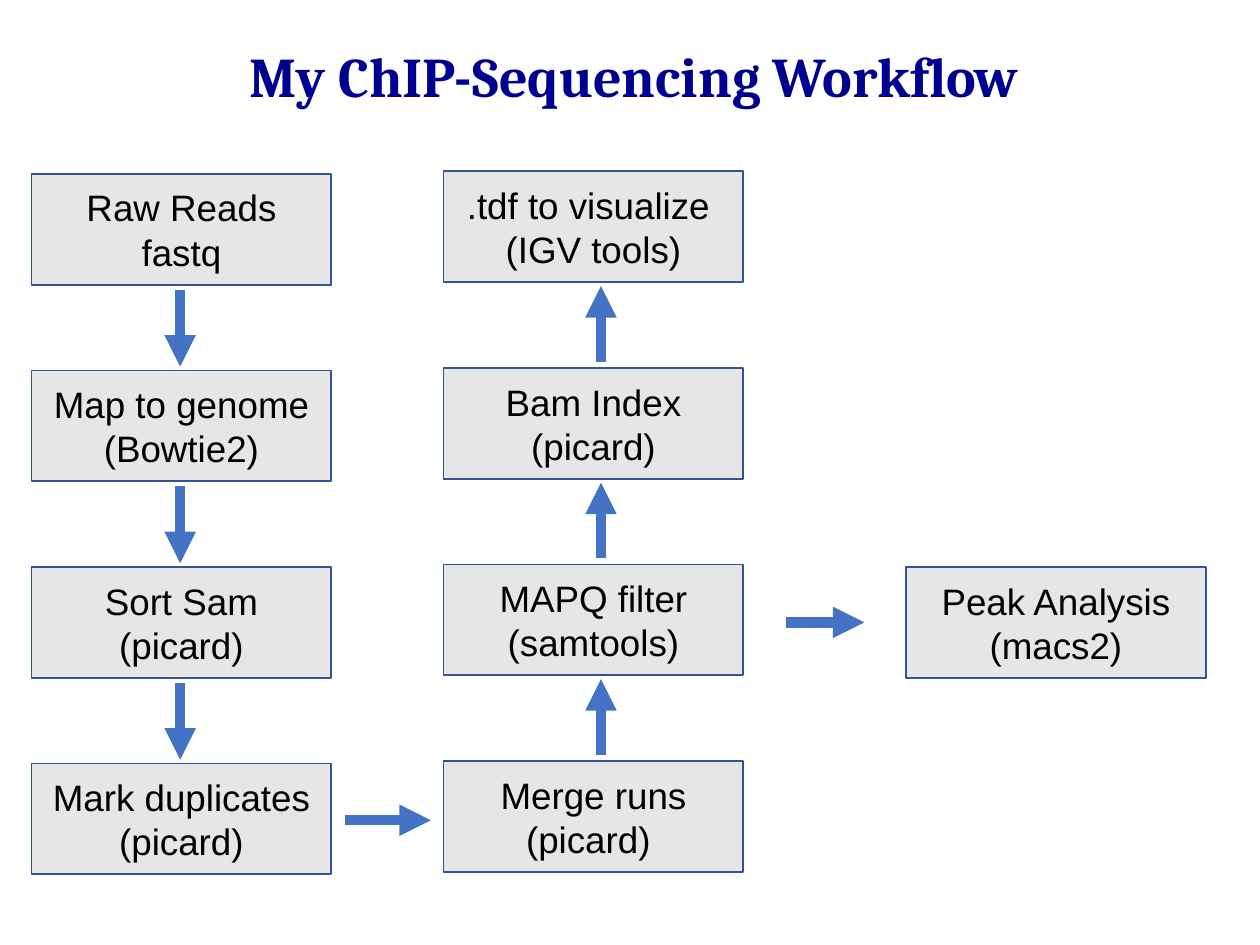
from lxml import etree
from pptx import Presentation
from pptx.dml.color import RGBColor
from pptx.enum.shapes import MSO_CONNECTOR, MSO_SHAPE
from pptx.enum.text import MSO_ANCHOR, MSO_AUTO_SIZE, PP_ALIGN
from pptx.oxml.ns import qn
from pptx.util import Inches, Pt

RECTANGLE = MSO_SHAPE.RECTANGLE
STRAIGHT = MSO_CONNECTOR.STRAIGHT
MIDDLE = MSO_ANCHOR.MIDDLE
CENTER = PP_ALIGN.CENTER
FIT_SHAPE = MSO_AUTO_SIZE.SHAPE_TO_FIT_TEXT

TITLE = "My ChIP-Sequencing Workflow"
PREPARATION_STEPS = [
    ["Raw Reads", "fastq"],
    ["Map to genome (Bowtie2)"],
    ["Sort Sam", "(picard)"],
    ["Mark duplicates", "(picard)"],
]
FILTERING_STEPS = [
    [".tdf to visualize ", "(IGV tools)"],
    ["Bam Index (picard)"],
    ["MAPQ filter (samtools)"],
    ["Merge runs", "(picard) "],
]
PEAK_STEP = ["Peak Analysis", "(macs2)"]

COLORS = {
    "title": "000090",
    "text": "000000",
    "box": "E7E6E6",
    "border": "325491",
    "arrow": "4472C4",
}
BOX_WIDTH, BOX_HEIGHT = 2.38, 0.88
ROW_PITCH = 1.56
PREPARATION_LEFT, PREPARATION_TOP = 0.25, 1.38
FILTERING_LEFT, FILTERING_TOP = 3.52, 1.36
PEAK_LEFT = 7.19
DOWN_X, UP_X = 1.43, 4.77


def color(key):
    return RGBColor.from_string(COLORS[key])


def add_lines(frame, lines, font_name, size, color_key, bold=False):
    for index, line in enumerate(lines):
        paragraph = frame.paragraphs[0] if index == 0 else frame.add_paragraph()
        paragraph.alignment = CENTER
        run = paragraph.add_run()
        run.text = line
        run.font.name = font_name
        run.font.size = Pt(size)
        run.font.bold = bold
        run.font.color.rgb = color(color_key)


def add_step(slide, lines, left, top, side_inset=0.1):
    box = slide.shapes.add_shape(
        RECTANGLE, Inches(left), Inches(top), Inches(BOX_WIDTH), Inches(BOX_HEIGHT)
    )
    box.shadow.inherit = False
    box.fill.solid()
    box.fill.fore_color.rgb = color("box")
    box.line.color.rgb = color("border")
    box.line.width = Pt(1)
    frame = box.text_frame
    frame.word_wrap = True
    frame.vertical_anchor = MIDDLE
    frame.margin_left = frame.margin_right = Inches(side_inset)
    add_lines(frame, lines, "Arial", 21, "text")


def add_arrow(slide, x1, y1, x2, y2):
    arrow = slide.shapes.add_connector(
        STRAIGHT, Inches(x1), Inches(y1), Inches(x2), Inches(y2)
    )
    arrow.line.color.rgb = color("arrow")
    arrow.line.width = Pt(6)
    etree.SubElement(arrow.line._get_or_add_ln(), qn("a:tailEnd"), type="triangle")
    etree.SubElement(arrow._element.spPr, qn("a:effectLst"))


def main():
    deck = Presentation()
    deck.slide_width, deck.slide_height = Inches(10), Inches(7.5)
    slide = deck.slides.add_slide(deck.slide_layouts[6])

    for row, lines in enumerate(PREPARATION_STEPS):
        top = PREPARATION_TOP + row * ROW_PITCH
        add_step(slide, lines, PREPARATION_LEFT, top)
        if row < len(PREPARATION_STEPS) - 1:
            add_arrow(slide, DOWN_X, top + 0.92, DOWN_X, top + 1.53)

    for row, lines in enumerate(FILTERING_STEPS):
        top = FILTERING_TOP + row * ROW_PITCH
        add_step(slide, lines, FILTERING_LEFT, top, 0.1 if row else 0)
        if row:
            add_arrow(slide, UP_X, top - 0.05, UP_X, top - 0.65)

    add_step(slide, PEAK_STEP, PEAK_LEFT, PREPARATION_TOP + 2 * ROW_PITCH, 0)
    add_arrow(slide, 2.74, 6.51, 3.42, 6.51)
    add_arrow(slide, 6.24, 4.94, 6.86, 4.94)

    heading = slide.shapes.add_textbox(
        Inches(1.86), Inches(0.28), Inches(6.35), Inches(0.64)
    ).text_frame
    heading.word_wrap = False
    heading.auto_size = FIT_SHAPE
    add_lines(heading, [TITLE], "Cambria", 32, "title", bold=True)

    deck.save("out.pptx")


if __name__ == "__main__":
    main()
